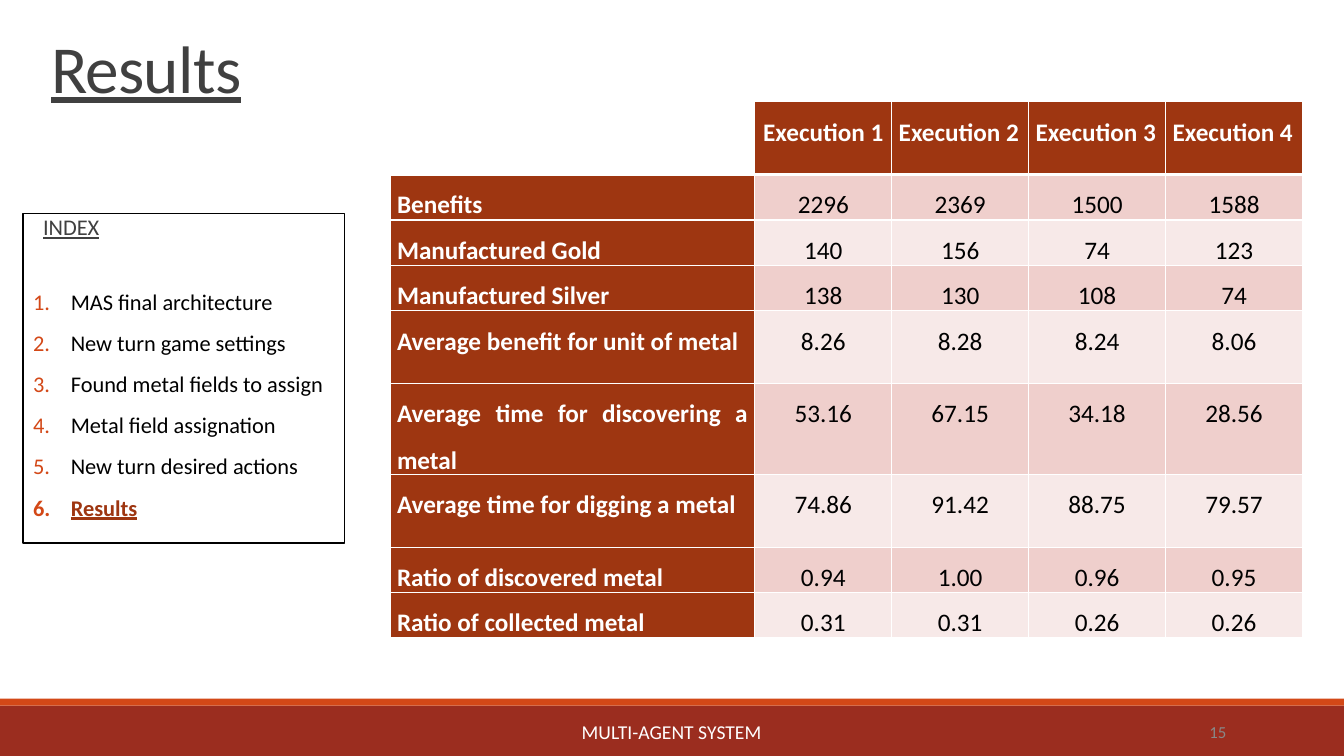
from pptx import Presentation
from pptx import util as u
from pptx.dml.color import RGBColor
from pptx.enum import shapes, text
from pptx.oxml import xmlchemy

COLORS = {
    "bar": "9B2D1F", "accent": "D34817", "header": "9E3611",
    "band_dark": "EFCFCC", "band_light": "F7E9E8",
    "white": "FFFFFF", "black": "000000", "title": "404040", "number": "888888",
}
ALIGN = text.PP_ALIGN
ANCHOR = text.MSO_ANCHOR

INDEX = ["MAS final architecture", "New turn game settings", "Found metal fields to assign",
         "Metal field assignation", "New turn desired actions", "Results"]
RESULTS = [
    ("", "Execution 1", "Execution 2", "Execution 3", "Execution 4"),
    ("Benefits", "2296", "2369", "1500", "1588"),
    ("Manufactured Gold", "140", "156", "74", "123"),
    ("Manufactured Silver", "138", "130", "108", "74"),
    ("Average benefit for unit of metal", "8.26", "8.28", "8.24", "8.06"),
    ("Average time for discovering a metal", "53.16", "67.15", "34.18", "28.56"),
    ("Average time for digging a metal", "74.86", "91.42", "88.75", "79.57"),
    ("Ratio of discovered metal", "0.94", "1.00", "0.96", "0.95"),
    ("Ratio of collected metal", "0.31", "0.31", "0.26", "0.26"),
]
COLUMN_WIDTHS = [260.6] + [97.8] * 4
TALL_ROWS = {0, 4, 5, 6}


def rgb(name):
    return RGBColor.from_string(COLORS[name])


def apply(target, values):
    for name, value in values.items():
        setattr(target, name, value)


def add_element(parent, tag, **attributes):
    element = xmlchemy.OxmlElement(tag)
    for name, value in attributes.items():
        element.set(name, value)
    parent.append(element)
    return element


class SlideBuilder:
    def __init__(self, slide, font="Calibri"):
        self.slide = slide
        self.font = font

    def add_words(self, paragraph, words, size, color, layout=None, **style):
        apply(paragraph, layout or {})
        run = paragraph.add_run()
        run.text = words
        apply(run.font, {"name": self.font, "size": u.Pt(size), **style})
        run.font.color.rgb = rgb(color)
        return run

    def rectangle(self, box, fill, line=None):
        shape = self.slide.shapes.add_shape(
            shapes.MSO_SHAPE.RECTANGLE, *[u.Pt(length) for length in box])
        shape.shadow.inherit = False
        shape.fill.solid()
        shape.fill.fore_color.rgb = rgb(fill)
        if line:
            shape.line.color.rgb = rgb(line)
            shape.line.width = u.Pt(1.25)
        else:
            shape.line.fill.background()
        return shape

    def label(self, box, words, size, color, anchor, layout, **style):
        shape = self.slide.shapes.add_textbox(*[u.Pt(length) for length in box])
        apply(shape.text_frame, {"word_wrap": True, "vertical_anchor": anchor})
        return self.add_words(shape.text_frame.paragraphs[0], words, size, color, layout, **style)

    def index(self, box, heading, items):
        frame = self.rectangle(box, "white", "black").text_frame
        apply(frame, {"word_wrap": True, "vertical_anchor": ANCHOR.TOP})
        layout = {"alignment": ALIGN.LEFT, "line_spacing": 0.8, "space_after": u.Pt(2)}
        first = frame.paragraphs[0]
        self.add_words(first, heading, 16, "title", layout, underline=True)
        first._p.get_or_add_pPr().set("marL", str(u.Pt(7.2)))
        for position, item in enumerate(items):
            paragraph = frame.add_paragraph()
            before = 12 if position else 36
            apply(paragraph, {**layout, "space_before": u.Pt(before)})
            self.number(paragraph)
            current = item == items[-1]
            style = {"bold": True, "underline": True} if current else {}
            self.add_words(paragraph, item, 16, "header" if current else "black", **style)

    def number(self, paragraph):
        properties = paragraph._p.get_or_add_pPr()
        properties.set("marL", str(u.Pt(27)))
        properties.set("indent", str(u.Pt(-27)))
        color = add_element(properties, "a:buClr")
        add_element(color, "a:srgbClr", val=COLORS["accent"])
        add_element(properties, "a:buFont", typeface=self.font)
        add_element(properties, "a:buAutoNum", type="arabicPeriod")

    def borders(self, cell, **widths):
        properties = cell._tc.get_or_add_tcPr()
        for position, side in enumerate(("L", "R", "T", "B")):
            line = xmlchemy.OxmlElement(f"a:ln{side}")
            line.set("w", str(u.Pt(widths.get(side, 1))))
            fill = add_element(line, "a:solidFill")
            add_element(fill, "a:srgbClr", val=COLORS["white"])
            properties.insert(position, line)

    def table(self, left, top, height, rows):
        frame = self.slide.shapes.add_table(
            len(rows), len(rows[0]), u.Pt(left), u.Pt(top), u.Pt(sum(COLUMN_WIDTHS)), u.Pt(height))
        table = frame.table
        apply(table, {"first_row": False, "horz_banding": False})
        for column, width in zip(table.columns, COLUMN_WIDTHS):
            column.width = u.Pt(width)
        for r, values in enumerate(rows):
            table.rows[r].height = u.Pt(52 if r in TALL_ROWS else 26)
            for c, value in enumerate(values):
                self.cell(table.cell(r, c), r, c, value)
        frame.height = u.Pt(height)

    def cell(self, cell, r, c, value):
        heading = r == 0 or c == 0
        apply(cell, {"margin_left": u.Pt(5), "margin_right": u.Pt(5),
                     "margin_top": 0, "margin_bottom": 0})
        if value:
            cell.fill.solid()
            band = "band_dark" if r % 2 else "band_light"
            cell.fill.fore_color.rgb = rgb("header" if heading else band)
            justified = heading and c != 1
            layout = {"alignment": ALIGN.JUSTIFY if justified else ALIGN.CENTER,
                      "line_spacing": 1.5}
            self.add_words(cell.text_frame.paragraphs[0], value, 18,
                           "white" if heading else "black", layout, bold=heading)
        else:
            cell.fill.background()
        self.borders(cell, T=3 if r == 1 else 1, B=3 if r == 0 else 1)


def main():
    presentation = Presentation()
    apply(presentation, {"slide_width": u.Pt(960), "slide_height": u.Pt(540)})
    builder = SlideBuilder(presentation.slides.add_slide(presentation.slide_layouts[6]))

    # Footer bars, footer text and slide number
    builder.rectangle((0, 504, 960, 36), "bar")
    builder.rectangle((0, 499, 960, 5), "accent")
    builder.label((290, 508.5, 379.5, 28.8), "MULTI-AGENT SYSTEM", 14, "white",
                  ANCHOR.MIDDLE, {"alignment": ALIGN.CENTER})
    builder.label((780, 508.5, 103, 28.8), "15", 12, "number",
                  ANCHOR.MIDDLE, {"alignment": ALIGN.RIGHT})

    # Title
    title = builder.label((29.5, -34.5, 823, 114.5), "Results", 48, "title",
                          ANCHOR.BOTTOM, {"line_spacing": 0.85}, underline=True)
    title._r.get_or_add_rPr().set("spc", "-50")

    # Index and results table
    builder.index((16.5, 152.6, 229.7, 235.4), "INDEX", INDEX)
    builder.table(278.6, 72.7, 383, RESULTS)

    presentation.save("out.pptx")


if __name__ == "__main__":
    main()
